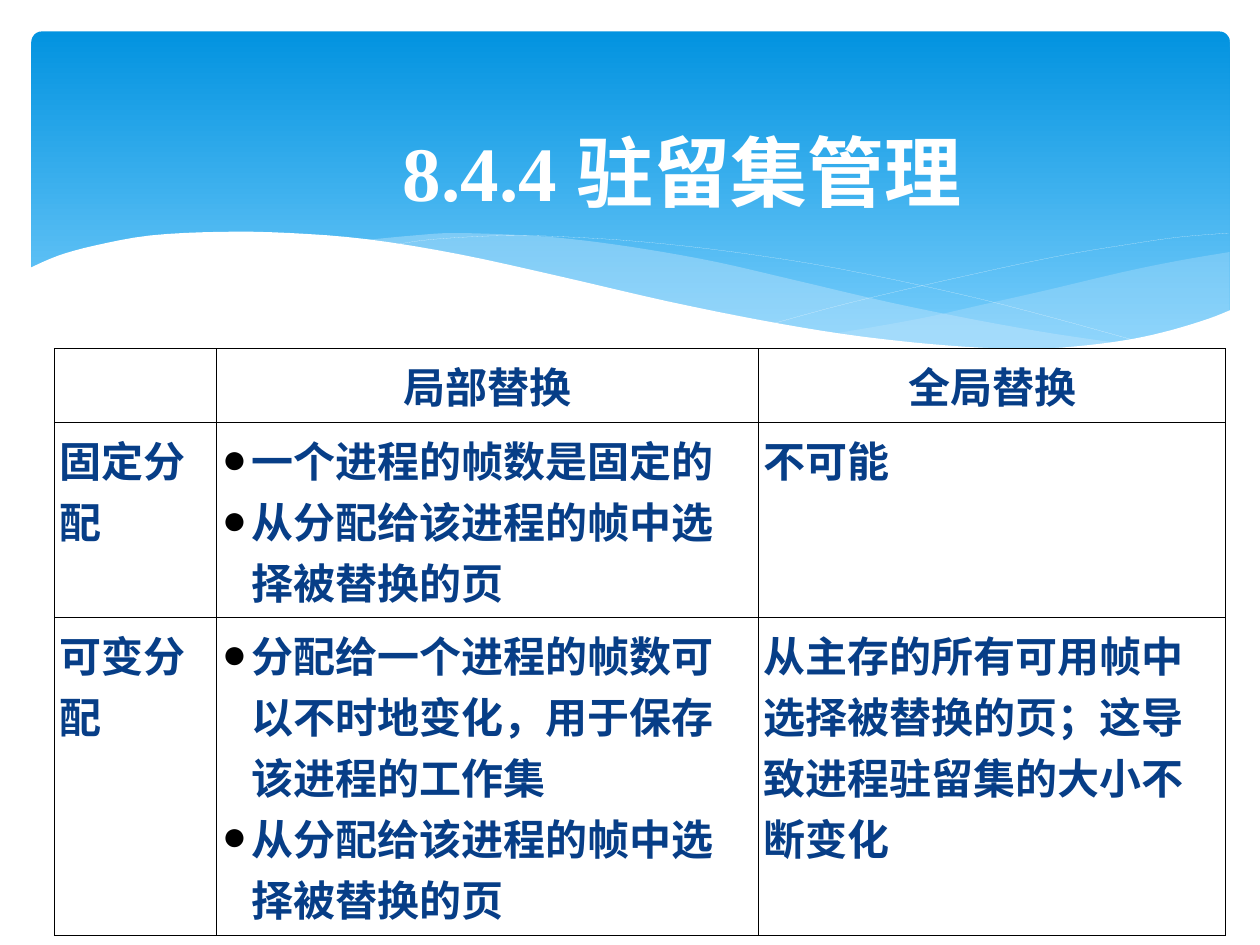
from lxml import etree
from pptx import Presentation
from pptx import util as u
from pptx.dml.color import RGBColor
from pptx.enum import shapes, text
from pptx.oxml import ns

WHITE = RGBColor(0xFF, 0xFF, 0xFF)
BLACK = RGBColor(0x00, 0x00, 0x00)
NAVY = RGBColor(0x07, 0x3E, 0x87)
SKY_TOP = RGBColor(0x02, 0x93, 0xE0)
SKY_BOTTOM = RGBColor(0x83, 0xD3, 0xFE)
MIST = RGBColor(0xC6, 0xE7, 0xFC)
CJK_FONT = "Noto Sans CJK JP"
LATIN_FONT = "Times New Roman"

RIGHT_WAVE_TOP = [
    (702.7, 144), (673.2, 149), (641.5, 155.5), (599, 165.6),
    (560.9, 174.2), (524.9, 182.2), (475.9, 190.8)]
RIGHT_WAVE_BOTTOM = [
    (475.9, 190.8), (507.6, 195.1), (536.4, 198), (578.2, 200.2),
    (614.9, 198.7), (645.8, 194.4), (673.2, 188.6), (702.7, 177.8)]
MIDDLE_WAVE_TOP = [
    (643, 196.6), (602.6, 190.8), (558, 182.9), (508.3, 172.8),
    (452.9, 159.8), (409.7, 149.8), (370.1, 142.6), (334.1, 137.5),
    (302.4, 134.6), (259.9, 133.2), (236.2, 134.6), (205.9, 137.5)]
MIDDLE_WAVE_BOTTOM = [
    (205.9, 137.5), (246.2, 143.3), (290.9, 151.9), (353.5, 167),
    (407.5, 178.6), (456.5, 187.9), (500.4, 194.4), (538.6, 198.7),
    (581, 200.9), (617, 199.4), (643, 196.6)]
FALLING_LINE = [
    (222.5, 140.4), (247, 136.8), (288.7, 134.6), (324, 135.4),
    (367.2, 138.2), (419, 144), (478.8, 153.4), (547.2, 167.8),
    (598.3, 180.7), (653, 195.8)]
RISING_LINE = [
    (441.4, 185), (483.8, 173.5), (538.6, 160.6), (601.9, 146.9),
    (644.4, 139.7), (674.6, 135.4), (702, 133.2)]
WHITE_WAVE_TOP = [
    (16.6, 153.4), (33.1, 146.2), (54, 140.4), (85.7, 134.6),
    (126.7, 132.5), (165.6, 133.2), (210.2, 136.8), (262.8, 145.4),
    (321.8, 158.4), (380.9, 172.1), (434.2, 182.9), (481, 190.8),
    (522.7, 195.8), (560.2, 198.7), (592.6, 199.4), (621.4, 197.3),
    (647.3, 193.7), (669.6, 188.6), (690.5, 182.2), (703.4, 177.1)]
WHITE_WAVE_BASE = [(703.4, 236.9), (16.6, 236.9)]

COLUMN_WIDTHS = [92.9, 309.6, 266.8]
ROW_HEIGHTS = [42.3, 111.4, 181.7]
CELLS = [
    [[], ["局部替换"], ["全局替换"]],
    [["固定分配"],
     ["一个进程的帧数是固定的", "从分配给该进程的帧中选择被替换的页"],
     ["不可能"]],
    [["可变分配"],
     ["分配给一个进程的帧数可以不时地变化，用于保存该进程的工作集",
      "从分配给该进程的帧中选择被替换的页"],
     ["从主存的所有可用帧中选择被替换的页；这导致进程驻留集的大小不断变化"]],
]


def add_element(parent, tag, **attributes):
    """Append a DrawingML child with the given attributes."""
    return etree.SubElement(parent, ns.qn(tag), attributes)


def smooth(knots, steps=4):
    """Return points on a Catmull-Rom curve through the knots."""
    padded = [knots[0], *knots, knots[-1]]
    points = []
    for a, b, c, d in zip(padded, padded[1:], padded[2:], padded[3:]):
        for step in range(steps):
            t = step / steps
            points.append(tuple(
                q + t * ((r - p) + t * ((2 * p - 5 * q + 4 * r - s)
                                        + t * (3 * q - p - 3 * r + s))) / 2
                for p, q, r, s in zip(a, b, c, d)))
    return points + [knots[-1]]


def add_outline(slide, points, close):
    """Add a freeform through points given in points."""
    start, *rest = [(u.Pt(x), u.Pt(y)) for x, y in points]
    builder = slide.shapes.build_freeform(*start)
    builder.add_line_segments(rest, close=close)
    shape = builder.convert_to_shape()
    shape.shadow.inherit = False
    return shape


def add_wave(slide, points, color, opacity=100):
    """Add a filled wave without an outline."""
    shape = add_outline(slide, points, True)
    shape.fill.solid()
    shape.fill.fore_color.rgb = color
    shape.line.fill.background()
    if opacity < 100:
        color_element = shape.fill._xPr.find(".//" + ns.qn("a:srgbClr"))
        add_element(color_element, "a:alpha", val=str(opacity * 1000))


def add_curve(slide, knots):
    """Add a white hairline curve."""
    shape = add_outline(slide, smooth(knots), False)
    shape.fill.background()
    shape.line.color.rgb = WHITE
    shape.line.width = u.Pt(0.02)


def add_banner(slide):
    """Add the rounded sky gradient behind the title."""
    shape = slide.shapes.add_shape(
        shapes.MSO_SHAPE.ROUNDED_RECTANGLE,
        u.Pt(18), u.Pt(18), u.Pt(684.7), u.Pt(194.4))
    shape.adjustments[0] = 0.03
    shape.shadow.inherit = False
    shape.line.fill.background()
    shape.fill.gradient()
    shape.fill.gradient_angle = 270
    for stop, color, position in zip(
            shape.fill.gradient_stops, (SKY_TOP, SKY_BOTTOM), (0, 1)):
        stop.color.rgb = color
        stop.position = position


def format_runs(paragraph, size, color, latin_font):
    """Make the runs bold in the given size, colour and font."""
    for run in paragraph.runs:
        run.font.size = u.Pt(size)
        run.font.bold = True
        run.font.color.rgb = color
        run.font.name = latin_font
        add_element(run.font._element, "a:ea", typeface=CJK_FONT)


def add_title(slide, title):
    """Add the centred slide title."""
    shape = slide.shapes.add_textbox(
        u.Pt(68.4), u.Pt(67.7), u.Pt(643), u.Pt(59.8))
    frame = shape.text_frame
    frame.word_wrap = True
    frame.vertical_anchor = text.MSO_ANCHOR.MIDDLE
    frame.text = title
    paragraph = frame.paragraphs[0]
    paragraph.alignment = text.PP_ALIGN.CENTER
    format_runs(paragraph, 44, WHITE, LATIN_FONT)


def add_bullet(paragraph):
    """Give a paragraph a round black bullet with a hanging indent."""
    properties = paragraph._p.get_or_add_pPr()
    properties.set("marL", str(u.Pt(17)))
    properties.set("indent", str(-u.Pt(17)))
    color = add_element(properties, "a:buClr")
    add_element(color, "a:srgbClr", val=str(BLACK))
    add_element(properties, "a:buFont", typeface=LATIN_FONT)
    add_element(properties, "a:buChar", char="●")


def format_cell(cell):
    """Set thin black borders, margins and an empty fill."""
    properties = cell._tc.get_or_add_tcPr()
    for side in "LRTB":
        line = add_element(properties, "a:ln" + side, w=str(u.Pt(0.45)))
        fill = add_element(line, "a:solidFill")
        add_element(fill, "a:srgbClr", val=str(BLACK))
    cell.fill.background()
    cell.margin_left = cell.margin_right = u.Pt(2.9)
    cell.margin_top = cell.margin_bottom = u.Pt(3.6)


def add_policy_table(slide):
    """Add the table of allocation and replacement policies."""
    table = slide.shapes.add_table(
        len(ROW_HEIGHTS), len(COLUMN_WIDTHS), u.Pt(31), u.Pt(199.1),
        u.Pt(sum(COLUMN_WIDTHS)), u.Pt(sum(ROW_HEIGHTS))).table
    table.first_row = table.horz_banding = False
    for column, width in zip(table.columns, COLUMN_WIDTHS):
        column.width = u.Pt(width)
    for row_index, (row, height) in enumerate(zip(table.rows, ROW_HEIGHTS)):
        row.height = u.Pt(height)
        for column_index, cell in enumerate(row.cells):
            format_cell(cell)
            cell.text_frame.text = "\n".join(CELLS[row_index][column_index])
            for paragraph in cell.text_frame.paragraphs:
                if row_index == 0:
                    paragraph.alignment = text.PP_ALIGN.CENTER
                elif column_index == 1:
                    add_bullet(paragraph)
                format_runs(paragraph, 24, NAVY, CJK_FONT)


def main():
    """Build the slide and save it."""
    presentation = Presentation()
    presentation.slide_width, presentation.slide_height = u.Pt(720), u.Pt(540)
    slide = presentation.slides.add_slide(presentation.slide_layouts[6])
    add_banner(slide)
    add_wave(slide, smooth(RIGHT_WAVE_TOP) + smooth(RIGHT_WAVE_BOTTOM), MIST, 29)
    add_wave(slide, smooth(MIDDLE_WAVE_TOP) + smooth(MIDDLE_WAVE_BOTTOM), MIST, 40)
    add_curve(slide, FALLING_LINE)
    add_curve(slide, RISING_LINE)
    add_wave(slide, smooth(WHITE_WAVE_TOP) + WHITE_WAVE_BASE, WHITE)
    add_title(slide, "8.4.4 驻留集管理")
    add_policy_table(slide)
    presentation.save("out.pptx")


if __name__ == "__main__":
    main()
